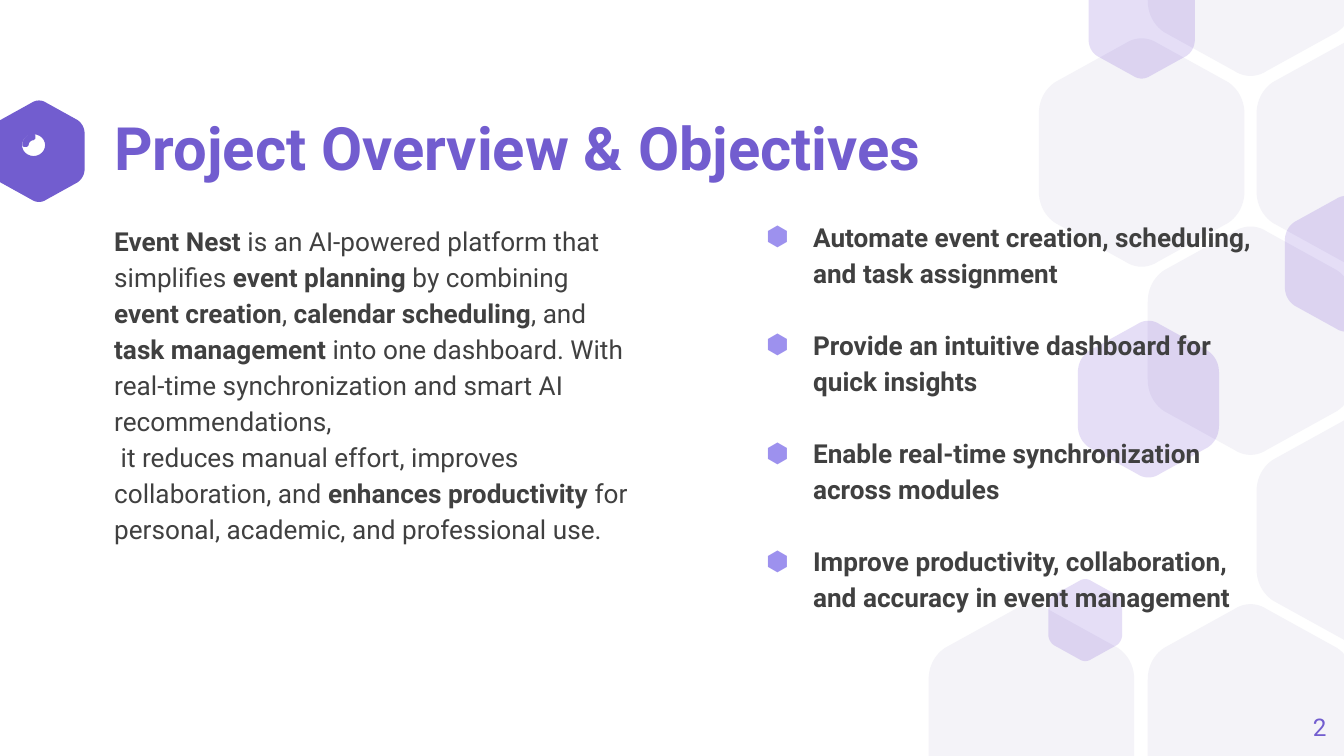
"""Build the project overview slide with hexagon decoration and two text columns."""
from math import cos, pi, sin

from lxml.etree import SubElement
from pptx import Presentation
from pptx.dml.color import RGBColor
from pptx.enum.shapes import MSO_SHAPE
from pptx.enum.text import MSO_ANCHOR, PP_ALIGN
from pptx.oxml.ns import qn
from pptx.util import Inches, Pt

WIDTH = 10
HEIGHT = WIDTH * 9 / 16
FONT = "Roboto"
COLORS = {"purple": "725DCF", "pale": "F4F3F8", "violet": "5322C9",
          "text": "404040", "bullet": "9D91EE", "white": "FFFFFF"}

TITLE = "Project Overview & Objectives"
OVERVIEW = [
    [("Event Nest ", True), ("is an AI-powered platform that simplifies ", False),
     ("event planning", True), (" by combining ", False),
     ("event creation", True), (", ", False),
     ("calendar scheduling", True), (", and ", False),
     ("task management", True),
     (" into one dashboard. With real-time synchronization and smart AI recommendations,", False)],
    [(" it reduces manual effort, improves collaboration, and ", False),
     ("enhances productivity ", True),
     ("for personal, academic, and professional use.", False)],
]
OBJECTIVES = [
    "Automate event creation, scheduling, and task assignment",
    "Provide an intuitive dashboard for quick insights",
    "Enable real-time synchronization across modules",
    "Improve productivity, collaboration, and accuracy in event management",
]

HEXAGONS = [
    (-0.05, 0.75, 0.68, "purple"),
    (6.91, 4.5, 1.53, "pale"), (8.54, 4.5, 1.53, "pale"),
    (9.35, 0.29, 1.53, "pale"), (8.54, -1.13, 1.53, "pale"),
    (8.54, 1.69, 1.53, "pale"), (7.73, 0.29, 1.53, "pale"),
    (9.56, 1.46, 0.91, "violet"), (7.8, 4.31, 0.55, "violet"),
    (8.1, -0.29, 0.79, "violet"), (8.02, 2.39, 1.05, "violet"),
    (9.35, 3.1, 1.53, "pale"),
]
HEX_RATIO = 1.105
HEX_CORNERS = [
    [(1, 0.33), (1, 0.27), (0.97, 0.22), (0.92, 0.19)],
    [(0.58, 0.02), (0.53, -0.01), (0.47, -0.01), (0.42, 0.02)],
    [(0.08, 0.19), (0.03, 0.22), (0, 0.27), (0, 0.33)],
]
LENS_CENTER = (0.25, 1.08)
HANDLE = [(0.36, 1.16), (0.34, 1.18), (0.44, 1.28), (0.46, 1.26)]


def rgb(name):
    return RGBColor.from_string(COLORS[name])


def style(sp, fill, line=None, alpha=None):
    sp.shadow.inherit = False
    sp.fill.solid()
    sp.fill.fore_color.rgb = rgb(fill)
    if alpha:
        clr = sp.fill._xPr.find(qn("a:solidFill"))[0]
        SubElement(clr, qn("a:alpha")).set("val", str(alpha * 1000))
    if line:
        sp.line.color.rgb = rgb(line)
        sp.line.width = Pt(2)
    else:
        sp.line.fill.background()


def add_polygon(s, points, fill, **fmt):
    points = [(Inches(x), Inches(y)) for x, y in points]
    builder = s.shapes.build_freeform(*points[0], scale=1.0)
    builder.add_line_segments(points[1:], close=True)
    style(builder.convert_to_shape(), fill, **fmt)


def bezier(corner, t):
    weights = ((1 - t) ** 3, 3 * t * (1 - t) ** 2, 3 * t * t * (1 - t), t ** 3)
    return tuple(sum(w * pt[i] for w, pt in zip(weights, corner)) for i in (0, 1))


def add_hexagon(s, x, y, w, color):
    top = [bezier(corner, i / 10) for corner in HEX_CORNERS for i in range(11)]
    outline = top + [(1 - u, 1 - v) for u, v in top]
    points = [(x + u * w, min(max(y + v * w * HEX_RATIO, 0), HEIGHT)) for u, v in outline]
    add_polygon(s, points, color, alpha=15 if color == "violet" else None)


def add_lens(s):
    cx, cy = LENS_CENTER
    for kind, w, h in ((MSO_SHAPE.DONUT, 0.26, 0.25), (MSO_SHAPE.OVAL, 0.2, 0.19)):
        sp = s.shapes.add_shape(kind, Inches(cx - w / 2), Inches(cy - h / 2),
                                Inches(w), Inches(h))
        if kind == MSO_SHAPE.DONUT:
            sp.adjustments[0] = 0.08
        style(sp, "white", line="purple")
    angles = [pi + i * pi / 16 for i in range(9)]
    arc = [(r, a) for r, turn in ((0.07, angles), (0.05, angles[::-1])) for a in turn]
    add_polygon(s, [(cx + r * cos(a), cy + r * sin(a)) for r, a in arc],
                "purple", line="purple")
    add_polygon(s, HANDLE, "white", line="purple")


def add_text(s, box, paragraphs, size=14, color="text", align=PP_ALIGN.LEFT,
             anchor=MSO_ANCHOR.TOP, spacing=1.15, gap=0, bullet=None):
    tf = s.shapes.add_textbox(*map(Inches, box)).text_frame
    tf.word_wrap = True
    tf.vertical_anchor = anchor
    tf.margin_left = tf.margin_right = tf.margin_top = tf.margin_bottom = 0
    for i, runs in enumerate(paragraphs):
        p = tf.paragraphs[0] if i == 0 else tf.add_paragraph()
        p.alignment = align
        p.line_spacing = spacing
        p.space_after = Pt(gap if i < len(paragraphs) - 1 else 0)
        if bullet:
            pPr = p._p.get_or_add_pPr()
            pPr.set("marL", str(Inches(0.5)))
            pPr.set("indent", str(Inches(-0.35)))
            clr = SubElement(pPr, qn("a:buClr"))
            SubElement(clr, qn("a:srgbClr")).set("val", COLORS["bullet"])
            SubElement(pPr, qn("a:buFont")).set("typeface", FONT)
            SubElement(pPr, qn("a:buChar")).set("char", bullet)
        for text, bold in runs:
            r = p.add_run()
            r.text = text
            r.font.name = FONT
            r.font.size = Pt(size)
            r.font.bold = bold
            r.font.color.rgb = rgb(color)


def main():
    prs = Presentation()
    prs.slide_width, prs.slide_height = Inches(WIDTH), Inches(HEIGHT)
    s = prs.slides.add_slide(prs.slide_layouts[6])
    for hexagon in HEXAGONS:
        add_hexagon(s, *hexagon)
    add_text(s, (0.85, 0.91, 6.95, 0.43), [[(TITLE, True)]], size=32,
             color="purple", anchor=MSO_ANCHOR.MIDDLE, spacing=0.9)
    add_text(s, (0.85, 1.64, 3.86, 3.07), OVERVIEW)
    add_text(s, (9.27, 5.19, 0.6, 0.43), [[("2", False)]], size=13, color="purple",
             align=PP_ALIGN.RIGHT, anchor=MSO_ANCHOR.MIDDLE, spacing=1.0)
    add_text(s, (5.55, 1.61, 3.86, 3.57), [[(text, True)] for text in OBJECTIVES],
             gap=19.35, bullet="⬢")
    add_lens(s)
    prs.save("out.pptx")


if __name__ == "__main__":
    main()
